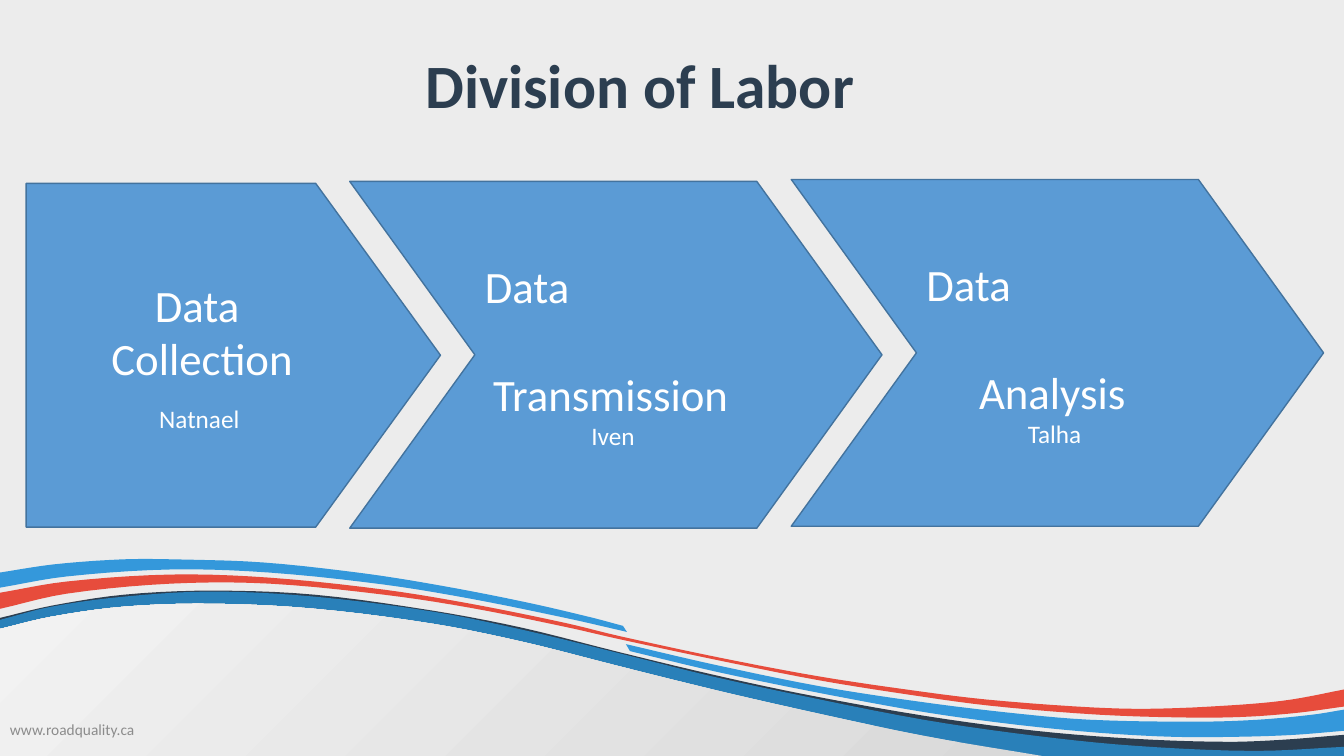
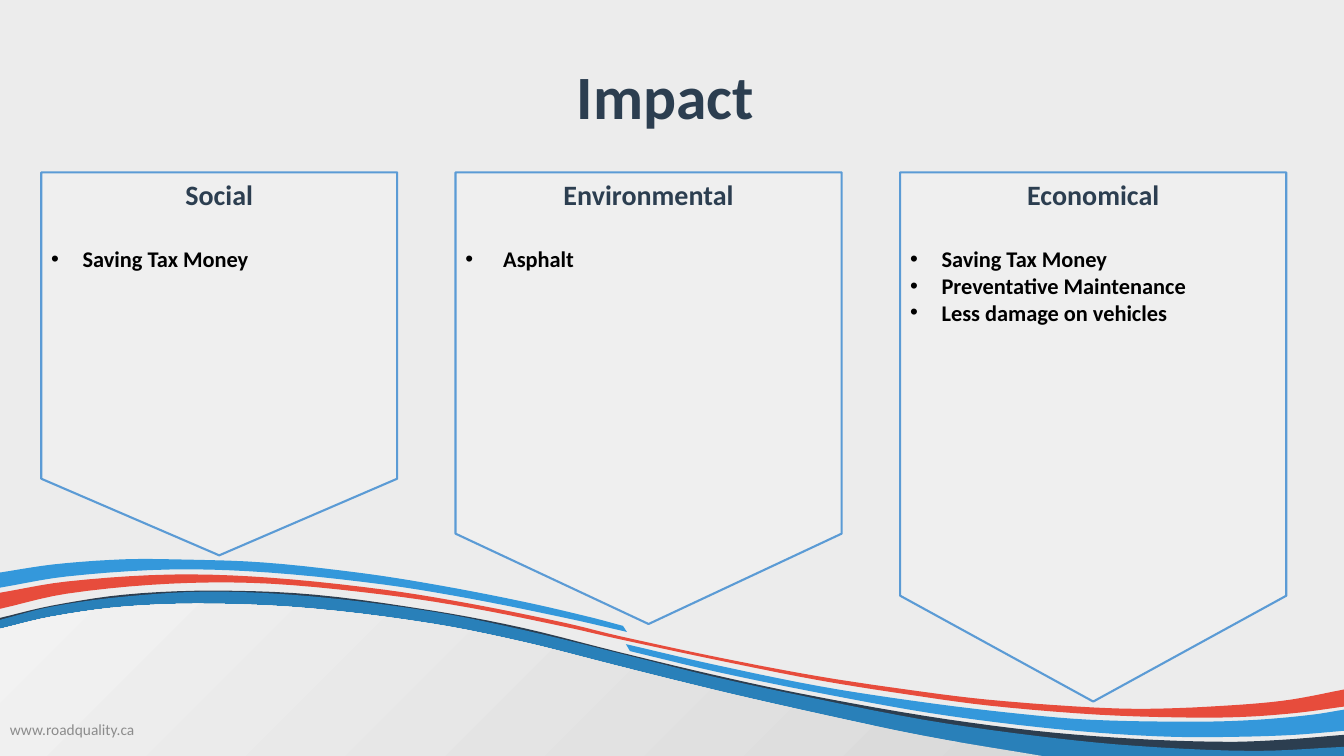
from dataclasses import dataclass
from typing import NamedTuple

from lxml import etree
from pptx import Presentation
from pptx import util as u
from pptx.dml import color
from pptx.enum import shapes, text
from pptx.oxml import ns

FONT = "Calibri"
SLIDE_W, SLIDE_H = 960, 540
COLORS = {
    "page": "ECECEC",
    "navy": "2C3E50",
    "ocean": "2980B9",
    "sky": "3498DB",
    "red": "E74C3C",
    "hill_dark": "D9D9D9",
    "hill_light": "F2F2F2",
    "step": "5B9BD5",
    "step_edge": "43739E",
    "card": "EFEFEF",
    "footer": "8C8C8C",
    "white": "FFFFFF",
    "black": "000000",
}
Edge = list[tuple[float, float]]


class Box(NamedTuple):
    left: float
    top: float
    width: float
    height: float


@dataclass
class Wave:
    fill: str
    upper: Edge
    lower: Edge


@dataclass
class Line:
    words: str
    size: float
    color: str
    bold: bool = False
    centered: bool = True
    before: float = 0
    bullet_indent: float = 0


@dataclass
class Step:
    box: Box
    outline: shapes.MSO_SHAPE
    point: float
    lines: list[Line]


@dataclass
class ImpactCard:
    box: Box
    heading: str
    effects: list[str]
    indent: float


FLOOR = [(0, SLIDE_H), (SLIDE_W, SLIDE_H)]
WAVES = [
    Wave("navy", [
        (0, 441.4), (36.7, 432.7), (88.6, 424.8), (151.2, 421.9), (224.6, 424.8),
        (309.6, 436.3), (373.7, 448.6), (442.1, 465.8), (508.3, 481.7), (571.7, 495.4),
        (659.5, 511.2), (739.4, 522), (811.4, 527.8), (876.2, 529.9), (915.1, 528.5),
        (960, 524.9)], FLOOR),
    Wave("ocean", [
        (0, 442.8), (36.7, 433.4), (88.6, 426.2), (151.2, 422.6), (224.6, 426.2),
        (309.6, 437), (373.7, 450), (442.1, 466.6), (508.3, 483.1), (571.7, 496.8),
        (659.5, 514.1), (739.4, 525.6), (811.4, 532.8), (895.7, 536.4), (960, 533.5)], FLOOR),
    Wave("hill", [
        (0, 449.3), (36.7, 440.6), (88.6, 433.4), (151.2, 431.3), (224.6, 434.9),
        (309.6, 445.7), (373.7, 458.6), (442.1, 475.9), (509, 492.5), (571.7, 506.9),
        (659.5, 525.6), (744.5, 540)], [(0, SLIDE_H), (744.5, SLIDE_H)]),
    Wave("red", [
        (0, 423.4), (47.5, 415.4), (122.4, 410.4), (192.2, 412.6), (274.3, 421.2),
        (336.2, 431.3), (403.9, 445), (442.1, 454.3), (516.2, 470.2), (584.6, 483.1),
        (647.3, 492.5), (704.9, 499.7), (781.9, 505.4), (827.3, 506.2), (887, 503.3),
        (922.3, 499.7), (960, 492.5)], [
        (0, 434.9), (47.5, 424.1), (122.4, 416.9), (192.2, 416.9), (274.3, 424.8),
        (336.2, 434.2), (403.9, 447.8), (442.1, 456.5), (516.2, 472.3), (585.4, 486),
        (648.7, 496.1), (706.3, 504), (784.8, 510.5), (852.5, 512.6), (892.1, 511.9),
        (928.1, 509), (960, 504.7)]),
    Wave("sky", [
        (0, 409), (38.2, 403.2), (87.1, 399.6), (124.6, 399.6), (187.9, 401.8),
        (260.6, 409.7), (314.6, 418.3), (373.7, 429.8), (420.5, 440.6), (445, 447.1)], [
        (0, 419.8), (47.5, 411.8), (122.4, 406.8), (192.2, 409), (274.3, 417.6),
        (336.2, 427.7), (403.9, 441.4), (447.8, 451.4)]),
    Wave("sky", [
        (447.1, 460.1), (509, 474.5), (586.1, 490.3), (655.9, 501.1), (720, 509),
        (778.3, 514.1), (854.6, 515.5), (898.6, 514.1), (937.4, 510.5), (960, 506.9)], [
        (450, 465.1), (513.4, 480.2), (591.1, 496.1), (662.4, 509), (726.5, 517.7),
        (784.8, 523.4), (837.4, 526.3), (883.4, 526.3), (924.5, 524.9), (960, 522)]),
]


def chevron_step(left: float, top: float, task: str, owner: str) -> Step:
    return Step(Box(left, top, 380.2, 247.7), shapes.MSO_SHAPE.CHEVRON, 0.361, [
        Line("Data", 32, "white", centered=False),
        Line(f"{task} ", 32, "white", before=39),
        Line(f"{owner} ", 18, "white"),
    ])


STEPS = [
    Step(Box(18.7, 131, 295.9, 245.5), shapes.MSO_SHAPE.PENTAGON, 0.363, [
        Line("Data ", 32, "white"),
        Line("Collection", 32, "white"),
        Line("Natnael ", 18, "white", before=13),
    ]),
    chevron_step(249.8, 129.6, "Transmission", "Iven"),
    chevron_step(565.2, 128.2, "Analysis", "Talha"),
]
CARDS = [
    ImpactCard(Box(29.5, 123.1, 254.2, 273.6), "Social", ["Saving Tax Money"], 22.5),
    ImpactCard(Box(325.4, 123.1, 275.8, 322.6), "Environmental", ["Asphalt"], 27),
    ImpactCard(Box(643, 123.1, 275.8, 378), "Economical",
               ["Saving Tax Money", "Preventative Maintenance", "Less damage on vehicles"], 22.5),
]


def rgb(name: str) -> color.RGBColor:
    return color.RGBColor.from_string(COLORS[name])


def smooth(knots: Edge, pieces: int = 5) -> Edge:
    last = len(knots) - 1
    slopes = []
    for i in range(last + 1):
        (x0, y0), (x1, y1) = knots[max(i - 1, 0)], knots[min(i + 1, last)]
        slopes.append((y1 - y0) / (x1 - x0))
    curve = [knots[0]]
    for i in range(last):
        (x0, y0), (x1, y1) = knots[i], knots[i + 1]
        run = x1 - x0
        for k in range(1, pieces + 1):
            t = k / pieces
            y = ((2 * t**3 - 3 * t**2 + 1) * y0 + (3 * t**2 - 2 * t**3) * y1
                 + run * ((t**3 - 2 * t**2 + t) * slopes[i] + (t**3 - t**2) * slopes[i + 1]))
            curve.append((x0 + run * t, y))
    return curve


def draw_wave(slide, wave: Wave) -> None:
    outline = smooth(wave.upper) + smooth(wave.lower)[::-1]
    corners = [(u.Pt(x), u.Pt(y)) for x, y in outline]
    builder = slide.shapes.build_freeform(*corners[0])
    builder.add_line_segments(corners[1:], close=True)
    band = builder.convert_to_shape()
    band.shadow.inherit = False
    band.line.fill.background()
    if wave.fill == "hill":
        band.fill.gradient()
        band.fill.gradient_angle = 135
        for stop, tone, place in zip(band.fill.gradient_stops, ("hill_dark", "hill_light"), (0, 1)):
            stop.color.rgb = rgb(tone)
            stop.position = place
    else:
        band.fill.solid()
        band.fill.fore_color.rgb = rgb(wave.fill)


def add_bullet(paragraph, indent: float) -> None:
    properties = paragraph._p.get_or_add_pPr()
    properties.set("marL", str(u.Pt(indent)))
    properties.set("indent", str(-u.Pt(indent)))
    etree.SubElement(properties, ns.qn("a:buFont")).set("typeface", "Arial")
    etree.SubElement(properties, ns.qn("a:buChar")).set("char", "•")


def write_lines(frame, lines: list[Line], anchor: text.MSO_ANCHOR) -> None:
    frame.word_wrap = True
    frame.vertical_anchor = anchor
    for i, line in enumerate(lines):
        paragraph = frame.add_paragraph() if i else frame.paragraphs[0]
        paragraph.text = line.words
        if line.bullet_indent:
            add_bullet(paragraph, line.bullet_indent)
        paragraph.alignment = text.PP_ALIGN.CENTER if line.centered else text.PP_ALIGN.LEFT
        if line.before:
            paragraph.space_before = u.Pt(line.before)
        for run in paragraph.runs:
            run.font.name = FONT
            run.font.size = u.Pt(line.size)
            run.font.bold = line.bold
            run.font.color.rgb = rgb(line.color)


def add_label(slide, box: Box, line: Line):
    label = slide.shapes.add_textbox(*map(u.Pt, box))
    write_lines(label.text_frame, [line], text.MSO_ANCHOR.MIDDLE)
    return label


def add_panel(slide, outline: shapes.MSO_SHAPE, box: Box, fill: str, edge: str, weight: float):
    panel = slide.shapes.add_shape(outline, *map(u.Pt, box))
    panel.shadow.inherit = False
    panel.fill.solid()
    panel.fill.fore_color.rgb = rgb(fill)
    panel.line.color.rgb = rgb(edge)
    panel.line.width = u.Pt(weight)
    return panel


def new_slide(deck, title: str, title_box: Box):
    slide = deck.slides.add_slide(deck.slide_layouts[6])
    for wave in WAVES:
        draw_wave(slide, wave)
    heading = add_label(slide, title_box, Line(title, 44, "navy", bold=True))
    heading.text_frame.paragraphs[0].line_spacing = 0.9
    add_label(slide, Box(0, 506.9, 295.9, 28.8),
              Line("www.roadquality.ca", 11, "footer", centered=False))
    return slide


def draw_step(slide, step: Step) -> None:
    arrow = add_panel(slide, step.outline, step.box, "step", "step_edge", 1)
    arrow.adjustments[0] = step.point
    write_lines(arrow.text_frame, step.lines, text.MSO_ANCHOR.MIDDLE)


def draw_card(slide, card: ImpactCard) -> None:
    panel = add_panel(slide, shapes.MSO_SHAPE.FLOWCHART_OFFPAGE_CONNECTOR, card.box,
                      "card", "step", 1.5)
    effects = [Line(effect, 16, "black", bold=True, centered=False,
                    before=0 if i else 24.4, bullet_indent=card.indent)
               for i, effect in enumerate(card.effects)]
    write_lines(panel.text_frame, [Line(card.heading, 20, "navy", bold=True), *effects],
                text.MSO_ANCHOR.TOP)


def main() -> None:
    deck = Presentation()
    deck.slide_width, deck.slide_height = u.Pt(SLIDE_W), u.Pt(SLIDE_H)
    backdrop = deck.slide_master.background.fill
    backdrop.solid()
    backdrop.fore_color.rgb = rgb("page")

    labor = new_slide(deck, "Division of Labor", Box(43.2, 10.8, 828, 104.4))
    for step in STEPS:
        draw_step(labor, step)

    impact = new_slide(deck, "Impact ", Box(66.2, 18.7, 828, 104.4))
    for card in CARDS:
        draw_card(impact, card)

    deck.save("out.pptx")


if __name__ == "__main__":
    main()
